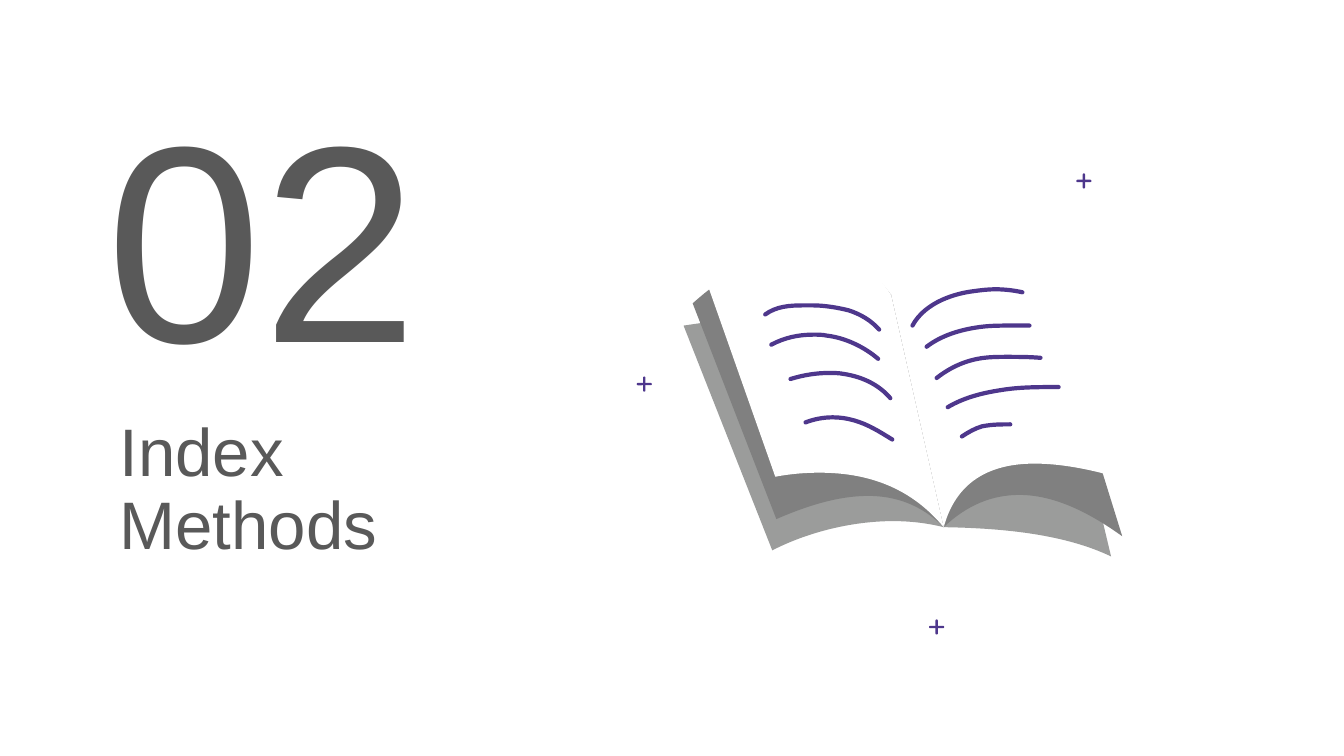
from dataclasses import dataclass

from lxml.etree import SubElement
from pptx import Presentation
from pptx.dml.color import RGBColor
from pptx.enum.shapes import MSO_SHAPE as Preset
from pptx.enum.text import MSO_ANCHOR as Anchor, MSO_AUTO_SIZE as AutoSize, PP_ALIGN as Align
from pptx.oxml.ns import qn
from pptx.util import Inches, Pt

# The slide is a grid of 1333 columns by 750 rows
COLUMNS, ROWS = 1333, 750
CELL = Inches(0.01)


@dataclass(frozen=True)
class Theme:
    font: str = "Arial"
    text: str = "595959"
    accent: str = "4E378C"
    cover: str = "9B9C9B"
    shade: str = "808080"
    paper: str = "FFFFFF"
    number_size: int = 200
    title_size: int = 48
    stroke: float = 3


THEME = Theme()

# Outlines: a start point, then lines (x, y) or curves (two controls and an end)
COVER_AND_PAGES = [
    (THEME.cover, [(884, 293), (678, 323), (766, 546),
                   (799, 529, 843, 517, 886, 517), (903, 517, 920, 519, 936, 523),
                   (1000, 524, 1058, 531, 1102, 552), (1045, 313)]),
    (THEME.shade, [(800, 249), (767, 249, 728, 264, 687, 301), (770, 515),
                   (800, 502, 831, 492, 861, 492), (887, 492, 913, 500, 936, 523),
                   (884, 293), (866, 267, 836, 249, 800, 249)]),
    (THEME.shade, [(958, 247), (929, 247, 904, 261, 884, 293), (936, 523),
                   (959, 501, 984, 491, 1011, 491), (1043, 491, 1077, 506, 1113, 532),
                   (1032, 271), (1006, 256, 981, 247, 958, 247)]),
    (THEME.paper, [(791, 240), (763, 240, 731, 249, 696, 266), (769, 473),
                   (785, 470, 799, 469, 813, 469), (866, 469, 906, 487, 936, 523),
                   (884, 293), (861, 257, 829, 240, 791, 240)]),
    (THEME.paper, [(962, 236), (922, 236, 896, 255, 884, 293), (936, 523),
                   (948, 479, 980, 460, 1026, 460), (1051, 460, 1080, 465, 1113, 475),
                   (1024, 247), (1001, 240, 980, 236, 962, 236)]),
]
WRITING = [
    # Right page
    [(905, 323), (918, 299, 949, 291, 965, 289), (972, 288, 980, 287, 987, 287),
     (996, 287, 1005, 288, 1014, 290)],
    [(919, 344), (932, 334, 949, 328, 968, 325), (980, 323, 991, 323, 1002, 323), (1021, 323)],
    [(929, 375), (943, 364, 959, 357, 976, 355), (984, 354, 991, 354, 998, 354),
     (1009, 354, 1021, 354, 1032, 355)],
    [(940, 404), (955, 395, 973, 390, 993, 387), (1011, 384, 1029, 384, 1050, 384)],
    [(954, 433), (960, 429, 967, 425, 974, 423), (984, 421, 993, 421, 1002, 421)],
    # Left page
    [(759, 312), (770, 304, 783, 303, 797, 303), (800, 303, 803, 303, 806, 303),
     (817, 303, 830, 305, 842, 308), (854, 312, 864, 318, 872, 327)],
    [(765, 342), (778, 335, 792, 332, 807, 332), (811, 332, 816, 332, 820, 333),
     (838, 335, 857, 344, 871, 356)],
    [(784, 376), (797, 372, 810, 370, 822, 370), (827, 370, 832, 370, 837, 371),
     (856, 374, 872, 382, 883, 395)],
    [(799, 419), (807, 416, 816, 414, 826, 414), (833, 414, 840, 415, 847, 417),
     (861, 421, 872, 428, 885, 436)],
]
PLUS_CENTRES = [(639, 381), (1075, 179.5), (929, 622)]
PLUS_LENGTH, PLUS_THICKNESS = 15, 2.4


def cells(*values):
    return [round(value * CELL) for value in values]


def add_outline(group, outline, close):
    start, *segments = outline
    builder = group.shapes.build_freeform(*cells(*start), scale=1.0)
    builder.add_line_segments([cells(*segment[index:index + 2]) for segment in segments
                               for index in range(0, len(segment), 2)], close=close)
    shape = builder.convert_to_shape()
    shape.shadow.inherit = False
    # Join each curve's three points into one Bezier segment
    lines = iter(list(shape.element.iter(qn("a:lnTo"))))
    for segment in segments:
        first = next(lines)
        if len(segment) == 6:
            first.tag = qn("a:cubicBezTo")
            for _ in range(2):
                line = next(lines)
                first.append(line[0])
                line.getparent().remove(line)
    return shape


def fill_plain(shape, color):
    shape.shadow.inherit = False
    shape.fill.solid()
    shape.fill.fore_color.rgb = RGBColor.from_string(color)
    shape.line.fill.background()


def add_stroke(group, outline):
    shape = add_outline(group, outline, close=False)
    shape.fill.background()
    shape.line.color.rgb = RGBColor.from_string(THEME.accent)
    shape.line.width = Pt(THEME.stroke)
    # Round ends and joins
    line = shape.element.spPr.find(qn("a:ln"))
    line.set("cap", "rnd")
    SubElement(line, qn("a:round"))


def add_plus(slide, x, y):
    group = slide.shapes.add_group_shape()
    for width, height in ((PLUS_LENGTH, PLUS_THICKNESS), (PLUS_THICKNESS, PLUS_LENGTH)):
        bar = group.shapes.add_shape(Preset.ROUNDED_RECTANGLE,
                                     *cells(x - width / 2, y - height / 2, width, height))
        bar.adjustments[0] = 0.5
        fill_plain(bar, THEME.accent)


def add_book(slide):
    group = slide.shapes.add_group_shape()
    for color, outline in COVER_AND_PAGES:
        fill_plain(add_outline(group, outline, close=True), color)
    for outline in WRITING:
        add_stroke(group, outline)


def set_text(shape, text, *, box, size, anchor):
    shape.left, shape.top, shape.width, shape.height = cells(*box)
    frame = shape.text_frame
    frame.word_wrap = True
    frame.auto_size = AutoSize.NONE
    frame.vertical_anchor = anchor
    frame.margin_left = frame.margin_right = frame.margin_top = frame.margin_bottom = Inches(0.13)
    paragraph = frame.paragraphs[0]
    paragraph.alignment = Align.LEFT
    paragraph.line_spacing = 0.9
    paragraph.space_before = Pt(0)
    run = paragraph.add_run()
    run.text = text
    run.font.name = THEME.font
    run.font.size = Pt(size)
    run.font.color.rgb = RGBColor.from_string(THEME.text)


def main():
    presentation = Presentation()
    presentation.slide_width, presentation.slide_height = cells(COLUMNS, ROWS)
    slide = presentation.slides.add_slide(presentation.slide_layouts[0])

    # Section title and number
    set_text(slide.shapes.title, "Index Methods", box=(105.5, 400, 391, 175),
             size=THEME.title_size, anchor=Anchor.MIDDLE)
    set_text(slide.placeholders[1], "02", box=(92.7, 79, 391, 334),
             size=THEME.number_size, anchor=Anchor.BOTTOM)

    # Open book with plus signs around it
    add_book(slide)
    for centre in PLUS_CENTRES:
        add_plus(slide, *centre)

    presentation.save("out.pptx")


if __name__ == "__main__":
    main()
